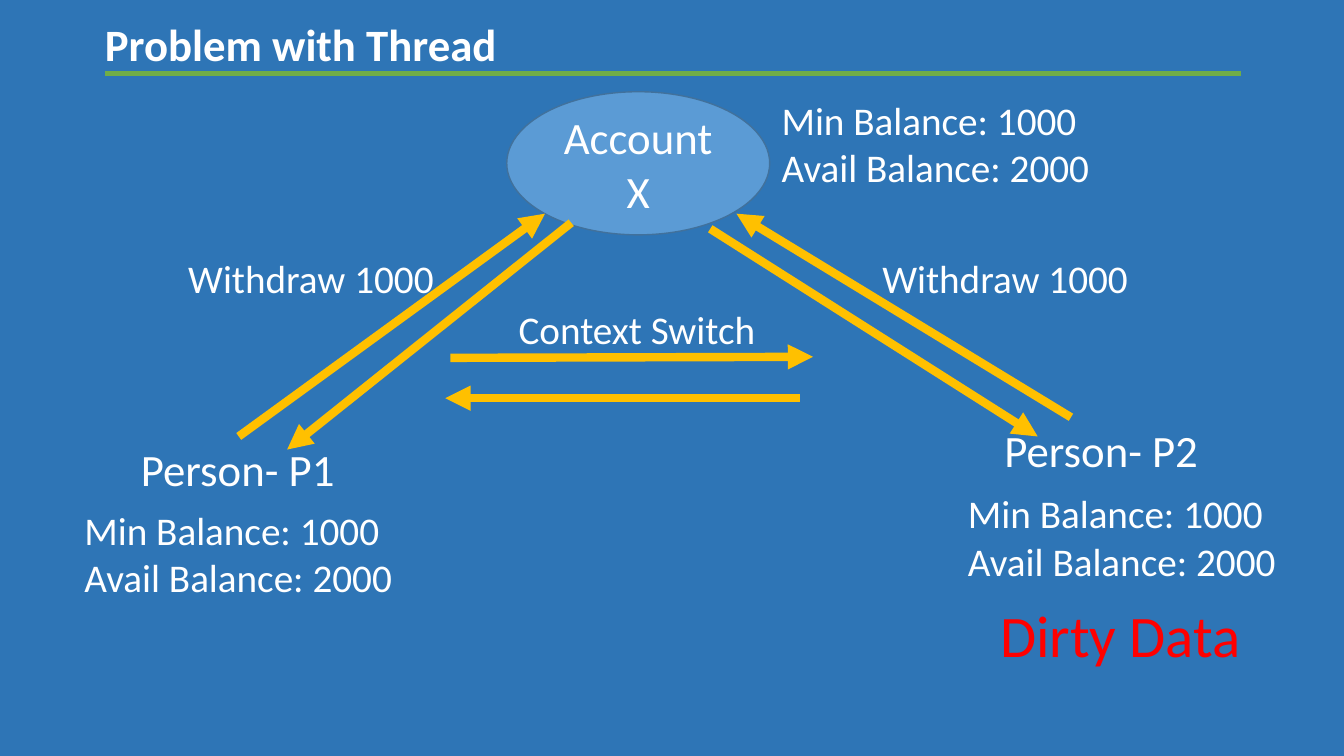
import pptx
import pptx.util
import pptx.dml.color
import pptx.enum.shapes
import pptx.enum.text
import pptx.oxml
import pptx.oxml.ns

COLUMNS, ROWS = 133.4, 75
SLIDE_WIDTH, SLIDE_HEIGHT = pptx.util.Inches(13.34), pptx.util.Inches(7.5)

THEME = {
    "font": "Calibri",
    "background": "2E75B6",
    "text": "FFFFFF",
    "alert": "FF0000",
    "rule": "70AD47",
    "arrow": "FFC000",
    "account": "5B9BD5",
    "account_edge": "41719C",
    "heading_size": 32,
    "label_size": 28,
    "alert_size": 42,
    "rule_width": 3,
    "arrow_width": 6,
    "edge_width": 1,
}

HEADING = ("Problem with Thread", (9.4, 1.2, 110.8, 6.4))
HEADING_RULE = ((10.4, 7.3), (123.2, 7.3))
ACCOUNT = (("Account", "X"), (50.3, 9.1, 26.1, 14.2))

BALANCE = ("Min Balance: 1000", "Avail Balance: 2000")
BALANCE_SPOTS = [(76.6, 9.1), (7.4, 49.7), (95.1, 48.1)]
WITHDRAW_SPOTS = [(17.7, 24.7), (86.6, 24.7)]
BALANCE_AREA, WITHDRAW_AREA = (32.6, 10.4), (26.4, 5.7)
PERSON_AREA = (21.4, 6.4)

LABELS = [
    (("Person- P1",), (13, 43.3, *PERSON_AREA), "heading_size", "text"),
    (("Person- P2",), (98.7, 41.4, *PERSON_AREA), "heading_size", "text"),
    (("Context Switch",), (50.5, 29.8, 25.7, 5.7), "label_size", "text"),
    (("Dirty Data",), (98.3, 58.9, 26, 8), "alert_size", "alert"),
    *((BALANCE, (*spot, *BALANCE_AREA), "label_size", "text") for spot in BALANCE_SPOTS),
    *((("Withdraw 1000",), (*spot, *WITHDRAW_AREA), "label_size", "text") for spot in WITHDRAW_SPOTS),
]

ARROWS = [
    ((23.7, 43.3), (54.1, 21.2)),
    ((56.7, 22.1), (28.5, 44.6)),
    ((106.3, 41.4), (73.1, 21.2)),
    ((70.5, 22.7), (103, 43.3)),
    ((44.7, 35.5), (80.7, 35.4)),
    ((79.4, 39.5), (44.2, 39.5)),
]

FRAME = {
    "margin_left": pptx.util.Inches(0.1),
    "margin_right": pptx.util.Inches(0.1),
    "margin_top": pptx.util.Inches(0.05),
    "margin_bottom": pptx.util.Inches(0.05),
    "auto_size": pptx.enum.text.MSO_AUTO_SIZE.NONE,
}


def color(role):
    return pptx.dml.color.RGBColor.from_string(THEME[role])


def place(*cells):
    units = (SLIDE_WIDTH / COLUMNS, SLIDE_HEIGHT / ROWS)
    return [round(cell * units[i % 2]) for i, cell in enumerate(cells)]


def apply(target, values):
    for name, value in values.items():
        setattr(target, name, value)


def write(frame, lines, size, role="text", bold=False, align="LEFT", anchor="TOP", wrap=False):
    apply(frame, {
        **FRAME,
        "word_wrap": wrap,
        "vertical_anchor": getattr(pptx.enum.text.MSO_ANCHOR, anchor),
        "text": "\n".join(lines),
    })
    for paragraph in frame.paragraphs:
        apply(paragraph, {
            "alignment": getattr(pptx.enum.text.PP_ALIGN, align),
            "line_spacing": 1.0,
        })
        for run in paragraph.runs:
            apply(run.font, {
                "name": THEME["font"],
                "size": pptx.util.Pt(THEME[size]),
                "bold": bold,
            })
            run.font.color.rgb = color(role)


def connect(slide, ends, role, width, head=None):
    start, end = ends
    connector = slide.shapes.add_connector(
        pptx.enum.shapes.MSO_CONNECTOR.STRAIGHT, *place(*start, *end))
    connector.line.color.rgb = color(role)
    connector.line.width = pptx.util.Pt(THEME[width])
    if head:
        outline = connector.line._get_or_add_ln()
        tip = pptx.oxml.parse_xml(f'<a:tailEnd {pptx.oxml.ns.nsdecls("a")} type="{head}"/>')
        outline.append(tip)
    effects = pptx.oxml.parse_xml(f'<a:effectLst {pptx.oxml.ns.nsdecls("a")}/>')
    connector._element.spPr.append(effects)


def main():
    deck = pptx.Presentation()
    apply(deck, {"slide_width": SLIDE_WIDTH, "slide_height": SLIDE_HEIGHT})
    slide = deck.slides.add_slide(deck.slide_layouts[5])
    slide.background.fill.solid()
    slide.background.fill.fore_color.rgb = color("background")

    heading_text, heading_area = HEADING
    heading = slide.shapes.title
    apply(heading, dict(zip(("left", "top", "width", "height"), place(*heading_area))))
    write(heading.text_frame, [heading_text], "heading_size", bold=True, wrap=True)
    connect(slide, HEADING_RULE, "rule", "rule_width")

    account_lines, account_area = ACCOUNT
    account = slide.shapes.add_shape(
        pptx.enum.shapes.MSO_SHAPE.OVAL, *place(*account_area))
    account.shadow.inherit = False
    account.fill.solid()
    account.fill.fore_color.rgb = color("account")
    account.line.color.rgb = color("account_edge")
    account.line.width = pptx.util.Pt(THEME["edge_width"])
    write(account.text_frame, account_lines, "heading_size",
          align="CENTER", anchor="MIDDLE", wrap=True)

    for ends in ARROWS:
        connect(slide, ends, "arrow", "arrow_width", head="triangle")
    for lines, area, size, role in LABELS:
        label = slide.shapes.add_textbox(*place(*area))
        write(label.text_frame, lines, size, role)

    deck.save("out.pptx")


if __name__ == "__main__":
    main()
